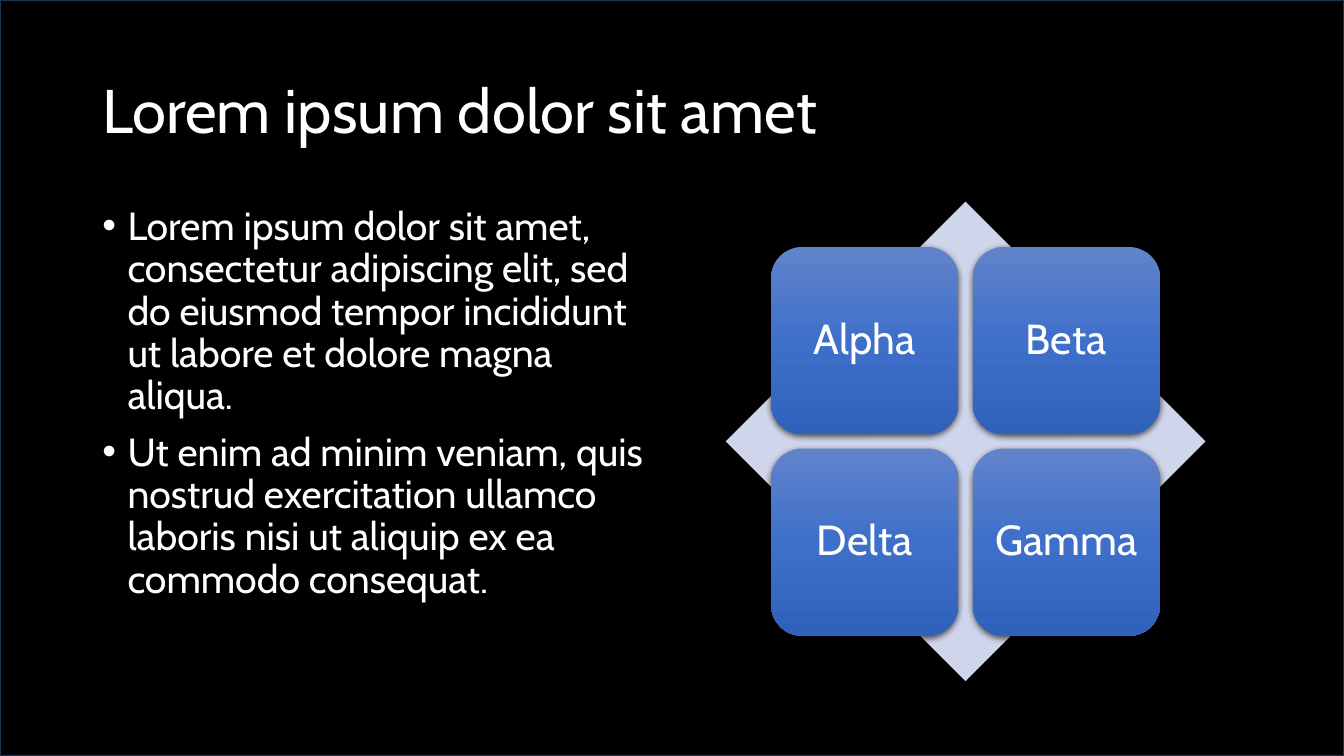
from dataclasses import dataclass
from itertools import product

from lxml.etree import SubElement
from pptx import Presentation
from pptx.dml.color import RGBColor
from pptx.enum.shapes import MSO_SHAPE as Preset
from pptx.enum.text import MSO_ANCHOR as Anchor, PP_ALIGN as Align
from pptx.oxml.ns import qn
from pptx.shapes.autoshape import Shape
from pptx.slide import Slide
from pptx.util import Inches, Pt

COLOURS = {
    "ground": "000000",
    "frame": "1E3256",
    "text": "FFFFFF",
    "diamond": "CFD5EA",
    "tile_top": "6183CB",
    "tile_middle": "3E70CA",
    "tile_bottom": "3062BB",
    "shadow": "000000",
}
FONT = "Cabin"
COLUMNS, ROWS = 160, 90
SLIDE_WIDTH, SLIDE_HEIGHT = Inches(13.33), Inches(7.5)


@dataclass(frozen=True)
class Area:
    column: float
    row: float
    columns: float
    rows: float

    def emu(self) -> tuple[int, int, int, int]:
        across, down = SLIDE_WIDTH / COLUMNS, SLIDE_HEIGHT / ROWS
        return (round(self.column * across), round(self.row * down),
                round(self.columns * across), round(self.rows * down))


@dataclass(frozen=True)
class Tile:
    label: str
    area: Area


WHOLE = Area(0, 0, COLUMNS, ROWS)
TITLE = Area(11, 4.8, 138, 17.4)
BODY = Area(11, 24, 68, 57.1)
DIAMOND = Area(86.4, 24, 57.1, 57.1)
TILE_SIZE, TILE_OFFSET, TILE_PITCH = 22.3, 5.4, 24

HEADING = "Lorem ipsum dolor sit amet"
POINTS = (
    "Lorem ipsum dolor sit amet, consectetur adipiscing elit, sed do eiusmod "
    "tempor incididunt ut labore et dolore magna aliqua.",
    "Ut enim ad minim veniam, quis nostrud exercitation ullamco laboris nisi "
    "ut aliquip ex ea commodo consequat.",
)
TILES = [
    Tile(label, Area(DIAMOND.column + TILE_OFFSET + across * TILE_PITCH,
                     DIAMOND.row + TILE_OFFSET + down * TILE_PITCH,
                     TILE_SIZE, TILE_SIZE))
    for label, (down, across) in zip(("Alpha", "Beta", "Delta", "Gamma"),
                                     product(range(2), repeat=2))
]


def colour(name: str) -> RGBColor:
    return RGBColor.from_string(COLOURS[name])


def add_preset(slide: Slide, preset: Preset, area: Area, fill: str) -> Shape:
    shape = slide.shapes.add_shape(preset, *area.emu())
    shape.shadow.inherit = False
    shape.fill.solid()
    shape.fill.fore_color.rgb = colour(fill)
    shape.line.fill.background()
    return shape


def write(shape: Shape, texts: tuple[str, ...], size: float, anchor: Anchor,
          align: Align = Align.LEFT, before: float = 0,
          bulleted: bool = False) -> None:
    frame = shape.text_frame
    frame.word_wrap = True
    frame.vertical_anchor = anchor
    for index, text in enumerate(texts):
        paragraph = frame.add_paragraph() if index else frame.paragraphs[0]
        paragraph.alignment = align
        paragraph.line_spacing = 0.9
        paragraph.space_before = Pt(before)
        if bulleted:
            properties = paragraph._p.get_or_add_pPr()
            properties.set("marL", str(Inches(0.25)))
            properties.set("indent", str(-Inches(0.25)))
            SubElement(properties, qn("a:buFont"), typeface="Arial")
            SubElement(properties, qn("a:buChar"), char="•")
        run = paragraph.add_run()
        run.text = text
        run.font.name = FONT
        run.font.size = Pt(size)
        run.font.color.rgb = colour("text")


def shade(shape: Shape) -> None:
    shape.fill.gradient()
    shape.fill.gradient_angle = 270
    properties = shape._element.spPr
    stops = properties.find(".//" + qn("a:gsLst"))
    stops.clear()
    for percent, name in ((0, "tile_top"), (50, "tile_middle"), (100, "tile_bottom")):
        stop = SubElement(stops, qn("a:gs"), pos=str(percent * 1000))
        SubElement(stop, qn("a:srgbClr"), val=COLOURS[name])
    shadow = SubElement(properties.find(qn("a:effectLst")), qn("a:outerShdw"),
                        blurRad=str(Pt(4.5)), dist=str(Pt(1.5)),
                        dir=str(90 * 60000), algn="ctr", rotWithShape="0")
    tint = SubElement(shadow, qn("a:srgbClr"), val=COLOURS["shadow"])
    SubElement(tint, qn("a:alpha"), val="63000")


def add_tile(slide: Slide, tile: Tile) -> None:
    shape = add_preset(slide, Preset.ROUNDED_RECTANGLE, tile.area, "tile_middle")
    shade(shape)
    frame = shape.text_frame
    frame.margin_left = frame.margin_right = Inches(0.12)
    frame.margin_top = frame.margin_bottom = Inches(0.12)
    write(shape, (tile.label,), 30, Anchor.MIDDLE, Align.CENTER)


def main() -> None:
    deck = Presentation()
    deck.slide_width, deck.slide_height = SLIDE_WIDTH, SLIDE_HEIGHT
    slide = deck.slides.add_slide(deck.slide_layouts[6])
    slide.background.fill.solid()
    slide.background.fill.fore_color.rgb = colour("ground")

    border = add_preset(slide, Preset.RECTANGLE, WHOLE, "ground")
    border.line.color.rgb = colour("frame")
    border.line.width = Pt(1)

    heading = slide.shapes.add_textbox(*TITLE.emu())
    write(heading, (HEADING,), 44, Anchor.MIDDLE)
    points = slide.shapes.add_textbox(*BODY.emu())
    write(points, POINTS, 28, Anchor.TOP, before=10, bulleted=True)

    add_preset(slide, Preset.DIAMOND, DIAMOND, "diamond")
    for tile in TILES:
        add_tile(slide, tile)
    deck.save("out.pptx")


if __name__ == "__main__":
    main()
